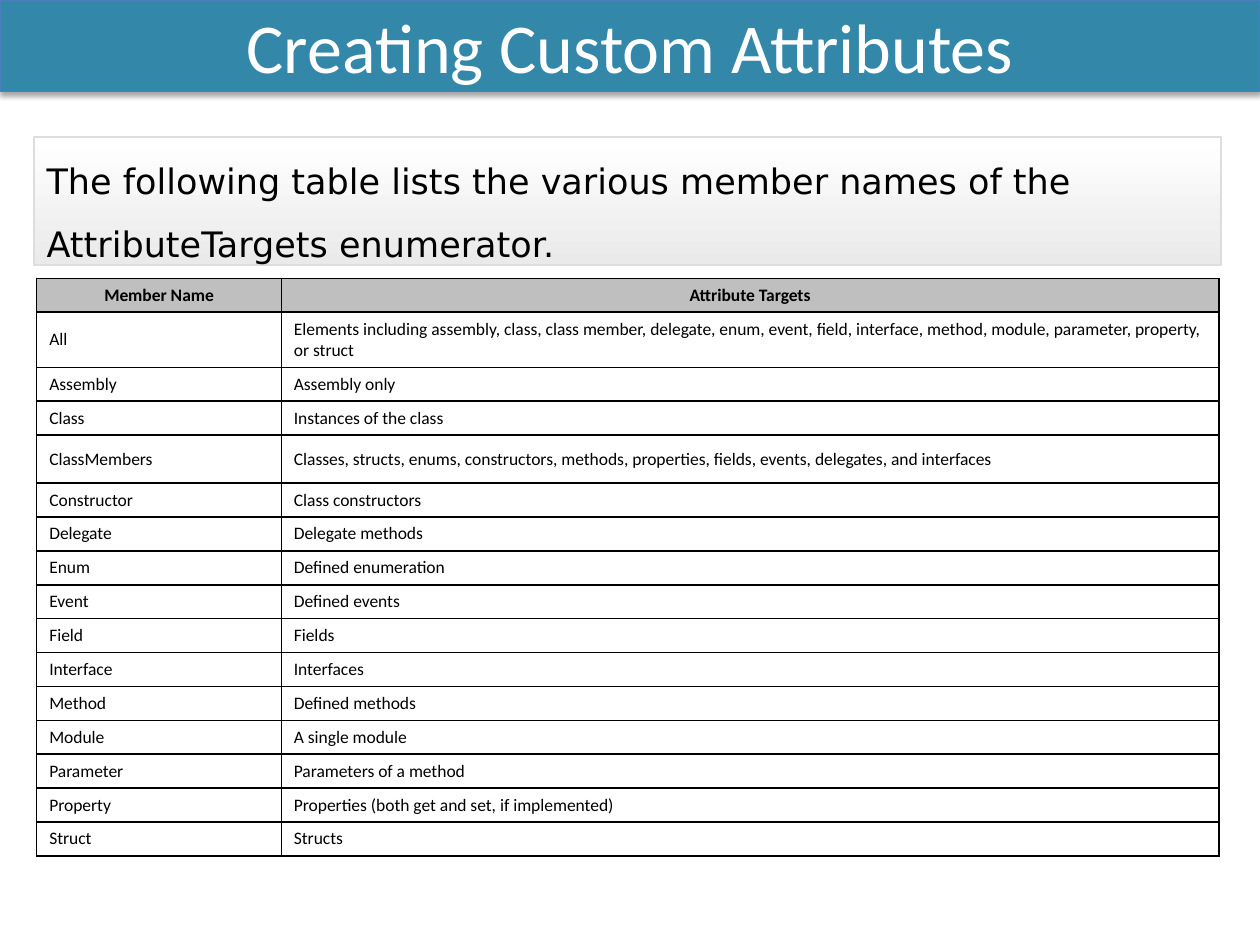
from lxml import etree
from pptx import Presentation
from pptx.dml.color import RGBColor
from pptx.enum.shapes import MSO_SHAPE
from pptx.enum.text import MSO_ANCHOR, MSO_AUTO_SIZE, PP_ALIGN
from pptx.oxml import parse_xml
from pptx.oxml.ns import nsdecls, qn
from pptx.util import Cm, Pt

RECTANGLE = MSO_SHAPE.RECTANGLE
MIDDLE = MSO_ANCHOR.MIDDLE
NO_AUTOFIT = MSO_AUTO_SIZE.NONE
LEFT, CENTER = PP_ALIGN.LEFT, PP_ALIGN.CENTER
TITLE_ONLY_LAYOUT = 5

HEADER = ("Member Name", "Attribute Targets")
MEMBERS = [
    ("All", "Elements including assembly, class, class member, delegate, enum, event, "
            "field, interface, method, module, parameter, property, or struct"),
    ("Assembly", "Assembly only"),
    ("Class", "Instances of the class"),
    ("ClassMembers", "Classes, structs, enums, constructors, methods, properties, fields, "
                     "events, delegates, and interfaces"),
    ("Constructor", "Class constructors"),
    ("Delegate", "Delegate methods"),
    ("Enum", "Defined enumeration"),
    ("Event", "Defined events"),
    ("Field", "Fields"),
    ("Interface", "Interfaces"),
    ("Method", "Defined methods"),
    ("Module", "A single module"),
    ("Parameter", "Parameters of a method"),
    ("Property", "Properties (both get and set, if implemented)"),
    ("Struct", "Structs"),
]
ROW_HEIGHT = 0.68
TALL_ROWS = {"All": 1.11, "ClassMembers": 0.97}


def color(hex_value):
    return RGBColor.from_string(hex_value)


class SlideBuilder:
    heading_font = "Calibri"
    intro_font = "DejaVu Sans"
    text_color = "000000"
    title_text = "FFFFFF"
    title_fill = "3388A9"
    title_line = "4B7EBC"
    intro_gradient = ("FFFFFF", "EAEAEA")
    intro_line = "DDDDDD"
    header_fill = "BFBFBF"
    border = "000000"

    def __init__(self, slide):
        self.slide = slide

    def set_text(self, text_frame, text, size, font, hex_value, alignment=LEFT, bold=False):
        text_frame.text = text
        paragraph = text_frame.paragraphs[0]
        paragraph.alignment = alignment
        run_font = paragraph.runs[0].font
        run_font.name, run_font.size, run_font.bold = font, Pt(size), bold
        run_font.color.rgb = color(hex_value)
        return paragraph

    def outline(self, shape, hex_value, width):
        shape.line.color.rgb = color(hex_value)
        shape.line.width = Pt(width)

    def drop_shadow(self, shape):
        shape._element.spPr.append(parse_xml(
            f'<a:effectLst {nsdecls("a")}>'
            f'<a:outerShdw blurRad="{Pt(3.1)}" dist="{Pt(1.8)}" dir="5400000" rotWithShape="0">'
            '<a:srgbClr val="000000"><a:alpha val="35000"/></a:srgbClr>'
            '</a:outerShdw></a:effectLst>'))

    def title(self, text, left, top, width, height):
        title = self.slide.shapes.title
        title.left, title.top, title.width, title.height = map(Cm, (left, top, width, height))
        title.fill.solid()
        title.fill.fore_color.rgb = color(self.title_fill)
        self.outline(title, self.title_line, 0.75)
        self.drop_shadow(title)
        title.text_frame.auto_size = NO_AUTOFIT
        title.text_frame.vertical_anchor = MIDDLE
        self.set_text(title.text_frame, text, 40, self.heading_font, self.title_text, CENTER)

    def intro(self, text, left, top, width, height):
        box = self.slide.shapes.add_shape(RECTANGLE, *map(Cm, (left, top, width, height)))
        box.shadow.inherit = False
        box.fill.gradient()
        box.fill.gradient_angle = 270
        for position, (stop, hex_value) in enumerate(
                zip(box.fill.gradient_stops, self.intro_gradient)):
            stop.position = position
            stop.color.rgb = color(hex_value)
        self.outline(box, self.intro_line, 1)
        box.text_frame.word_wrap = True
        box.text_frame.vertical_anchor = MIDDLE
        paragraph = self.set_text(box.text_frame, text, 20, self.intro_font, self.text_color)
        paragraph.line_spacing = 1.5

    def cell_borders(self, cell):
        properties = cell._tc.get_or_add_tcPr()
        for side in ("a:lnL", "a:lnR", "a:lnT", "a:lnB"):
            line = etree.SubElement(properties, qn(side), w=str(Pt(1)))
            fill = etree.SubElement(line, qn("a:solidFill"))
            etree.SubElement(fill, qn("a:srgbClr"), val=self.border)

    def table(self, rows, left, top, column_widths, row_heights):
        table = self.slide.shapes.add_table(
            len(rows), len(column_widths), Cm(left), Cm(top),
            Cm(sum(column_widths)), Cm(sum(row_heights))).table
        table.horz_banding = False
        for column, width in zip(table.columns, column_widths):
            column.width = Cm(width)
        for index, (row, values, height) in enumerate(zip(table.rows, rows, row_heights)):
            row.height = Cm(height)
            is_header = index == 0
            for cell, value in zip(row.cells, values):
                cell.vertical_anchor = MIDDLE
                self.cell_borders(cell)
                if is_header:
                    cell.fill.solid()
                    cell.fill.fore_color.rgb = color(self.header_fill)
                else:
                    cell.fill.background()
                self.set_text(cell.text_frame, value, 10, self.heading_font, self.text_color,
                              CENTER if is_header else LEFT, is_header)


def main():
    presentation = Presentation()
    presentation.slide_width, presentation.slide_height = Cm(25.4), Cm(19.05)
    layout = presentation.slide_layouts[TITLE_ONLY_LAYOUT]
    builder = SlideBuilder(presentation.slides.add_slide(layout))

    rows = [HEADER] + MEMBERS
    row_heights = [TALL_ROWS.get(name, ROW_HEIGHT) for name, _ in rows]
    builder.table(rows, 0.74, 5.61, (4.93, 18.9), row_heights)
    builder.title("Creating Custom Attributes", 0, 0, 25.4, 1.84)
    builder.intro("The following table lists the various member names of the "
                  "AttributeTargets enumerator.", 0.69, 2.77, 23.93, 2.58)
    presentation.save("out.pptx")


if __name__ == "__main__":
    main()
